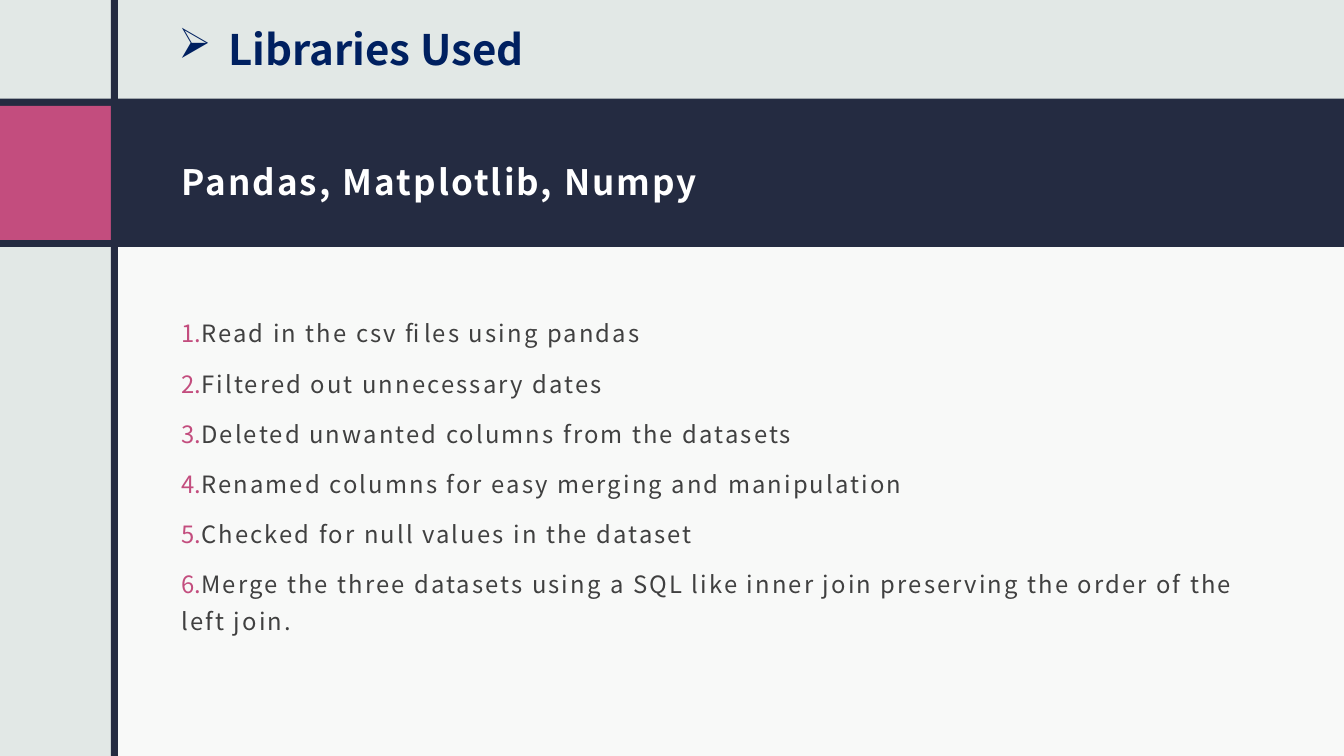
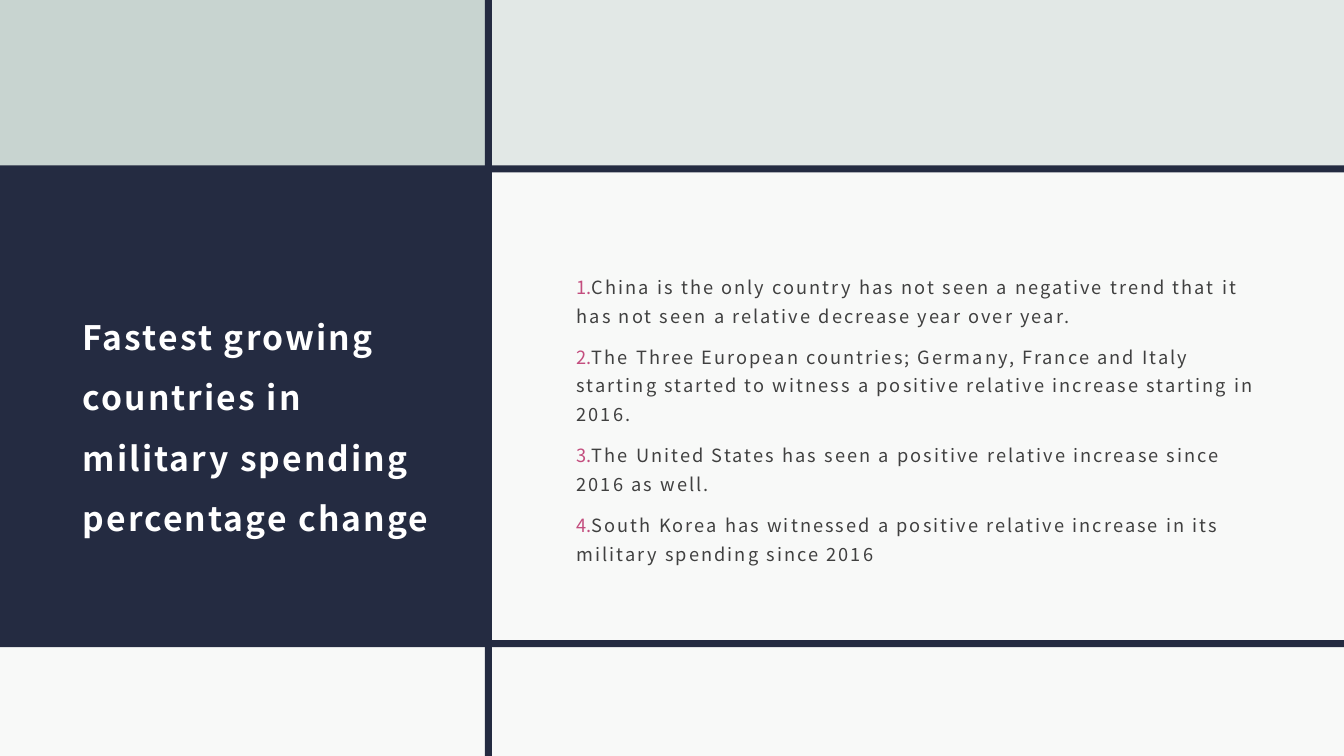
from lxml import etree
from pptx import Presentation
from pptx.dml.color import RGBColor
from pptx.enum.shapes import MSO_SHAPE
from pptx.enum.text import MSO_ANCHOR, MSO_AUTO_SIZE, PP_ALIGN
from pptx.oxml.ns import qn
from pptx.util import Inches, Pt

FONT = "Noto Sans CJK JP"
NAVY, PINK, WHITE, GREY = "242B41", "C34D7E", "FFFFFF", "404040"
MIST, SAGE, PALE, BLUE = "E2E8E6", "C8D4D0", "F8F9F8", "002060"
WIDTH, HEIGHT, BAR = 13.33, 7.5, 0.07

SLIDES = [
    dict(
        title="Pandas, Matplotlib, Numpy",
        title_box=(1.68, 1.14, 10.95, 1.13), title_size=25, title_spacing=1.4,
        blocks=[
            (1.14, 2.33, 12.19, 5.17, PALE),
            (0, 0.98, WIDTH, 1.47, NAVY),
            (0, 1.05, 1.1, 1.33, PINK),
            (1.1, 0, BAR, HEIGHT, NAVY),
        ],
        list_box=(1.68, 2.96, 10.87, 3.75), list_size=17, anchor=MSO_ANCHOR.TOP,
        items=[
            "Read in the csv files using pandas",
            "Filtered out unnecessary dates",
            "Deleted unwanted columns from the datasets",
            "Renamed columns for easy merging and manipulation",
            "Checked for null values in the dataset",
            "Merge the three datasets using a SQL like inner join preserving "
            "the order of the left join.",
        ],
    ),
    dict(
        title="Fastest growing countries in military spending percentage change",
        title_box=(0.7, 2.14, 3.73, 3.98), title_size=24, title_spacing=1.5,
        blocks=[
            (0, 1.64, 4.84, 4.78, NAVY),
            (0, 0, 4.84, 1.66, SAGE),
            (4.84, 1.66, 8.49, 4.76, PALE),
            (0, 6.41, WIDTH, 1.09, PALE),
            (0, 1.64, WIDTH, BAR, NAVY),
            (0, 6.35, WIDTH, BAR, NAVY),
            (4.81, 0, BAR, HEIGHT, NAVY),
        ],
        list_box=(5.6, 2.14, 7.03, 3.98), list_size=13, anchor=MSO_ANCHOR.MIDDLE,
        items=[
            "China is the only country has not seen a negative trend that it "
            "has not seen a relative decrease year over year.",
            "The Three European countries; Germany, France and Italy starting "
            "started to witness a positive relative increase starting in 2016.",
            "The United States has seen a positive relative increase since "
            "2016 as well.",
            "South Korea has witnessed a positive relative increase in its "
            "military spending since 2016",
        ],
    ),
]


def rgb(value):
    return RGBColor.from_string(value)


def style(tf, size, color, bold=False, tracking=0, anchor=MSO_ANCHOR.MIDDLE):
    """Format a text frame and all its runs; tracking is in points."""
    tf.word_wrap = True
    tf.auto_size = MSO_AUTO_SIZE.NONE
    tf.vertical_anchor = anchor
    if tracking:
        tf.margin_left = tf.margin_top = tf.margin_right = Inches(0.12)
        tf.margin_bottom = Inches(0.1)
    for p in tf.paragraphs:
        p.alignment = PP_ALIGN.LEFT
        for r in p.runs:
            r.font.name, r.font.size, r.font.bold = FONT, Pt(size), bold
            r.font.color.rgb = rgb(color)
            r.font._element.set("spc", str(int(tracking * 100)))


prs = Presentation()
prs.slide_width, prs.slide_height = Inches(WIDTH), Inches(HEIGHT)

for data in SLIDES:
    s = prs.slides.add_slide(prs.slide_layouts[5])
    s.background.fill.solid()
    s.background.fill.fore_color.rgb = rgb(MIST)

    for *box, color in data["blocks"]:
        sp = s.shapes.add_shape(MSO_SHAPE.RECTANGLE, *map(Inches, box))
        sp.shadow.inherit = False
        sp.fill.solid()
        sp.fill.fore_color.rgb = rgb(color)
        sp.line.fill.background()

    title = s.shapes.title
    s.shapes.element.append(title.element)  # bring in front of the blocks
    title.left, title.top, title.width, title.height = map(Inches, data["title_box"])
    title.text_frame.text = data["title"]
    title.text_frame.paragraphs[0].line_spacing = data["title_spacing"]
    style(title.text_frame, data["title_size"], WHITE, bold=True, tracking=1.5)

    tf = s.shapes.add_textbox(*map(Inches, data["list_box"])).text_frame
    tf.text = "\n".join(data["items"])
    for i, p in enumerate(tf.paragraphs):
        pPr = p._p.get_or_add_pPr()
        pPr.set("marL", "0")
        pPr.set("indent", str(Inches(-0.56)))
        bullet_color = etree.SubElement(pPr, qn("a:buClr"))
        etree.SubElement(bullet_color, qn("a:srgbClr"), val=PINK)
        etree.SubElement(pPr, qn("a:buFont"), typeface="+mj-lt")
        etree.SubElement(pPr, qn("a:buAutoNum"), type="arabicPeriod")
        p.line_spacing = 1.3
        p.space_before = Pt(9.3 if i else 0)
    style(tf, data["list_size"], GREY, tracking=1.5, anchor=data["anchor"])

heading = prs.slides[0].shapes.add_textbox(
    Inches(1.67), Inches(0.18), Inches(8.23), Inches(1.39))
tf = heading.text_frame
tf.text = "Libraries Used"
pPr = tf.paragraphs[0]._p.get_or_add_pPr()
pPr.set("marL", str(Inches(0.5)))
pPr.set("indent", str(Inches(-0.5)))
etree.SubElement(pPr, qn("a:buChar"), char="➢")
style(tf, 30, BLUE, bold=True, anchor=MSO_ANCHOR.TOP)

prs.save("out.pptx")
